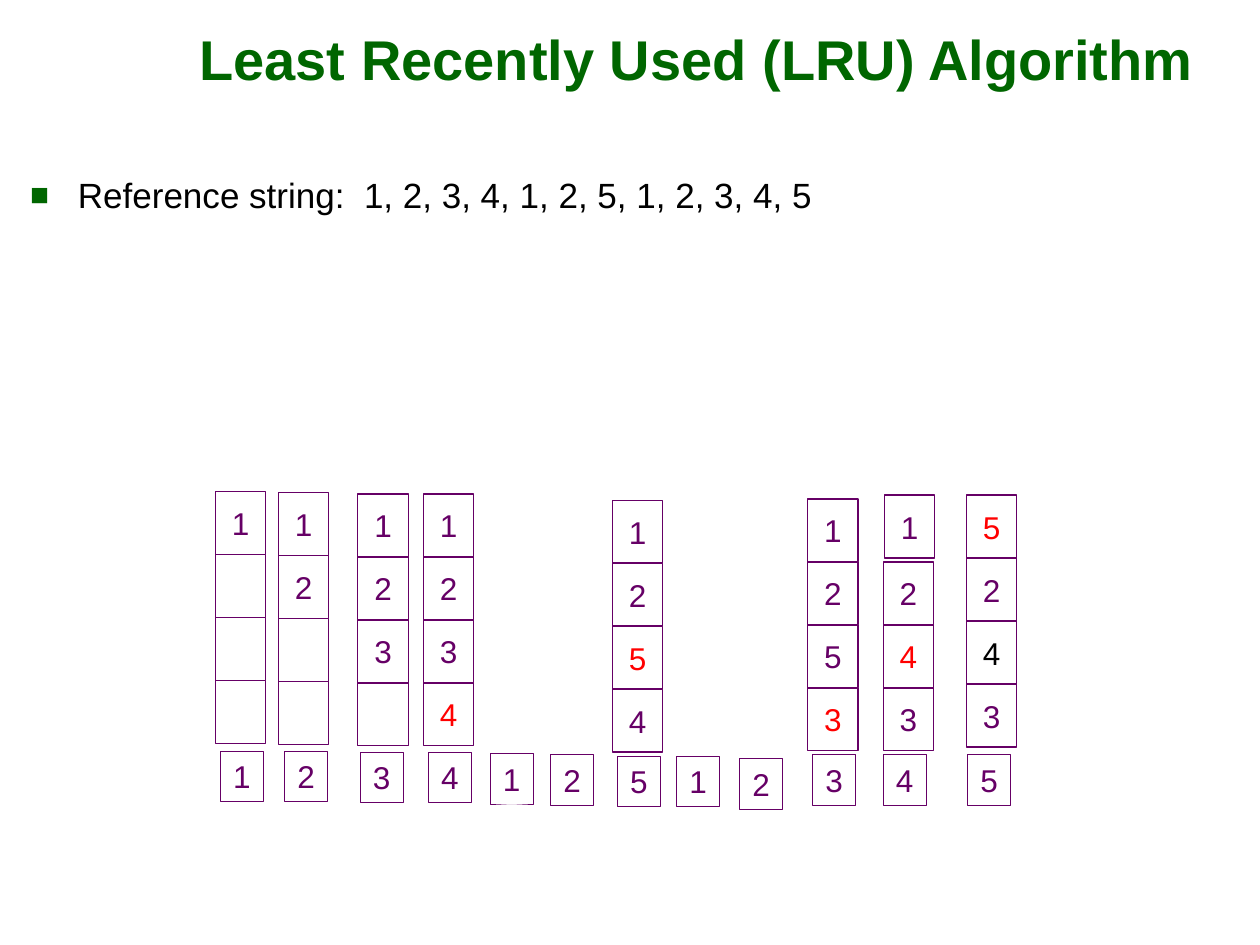
from dataclasses import dataclass, field

from lxml.etree import SubElement
from pptx import Presentation
from pptx.dml.color import RGBColor
from pptx.enum.shapes import MSO_SHAPE
from pptx.enum.text import MSO_ANCHOR, MSO_AUTO_SIZE, PP_ALIGN
from pptx.oxml.ns import qn
from pptx.util import Inches, Pt

GREEN = RGBColor(0x00, 0x66, 0x00)
PURPLE = RGBColor(0x66, 0x00, 0x66)
RED = RGBColor(0xFF, 0x00, 0x00)
BLACK = RGBColor(0x00, 0x00, 0x00)
WHITE = RGBColor(0xFF, 0xFF, 0xFF)

FONT = "Arial"
FRAME_WIDTH, FRAME_HEIGHT = 0.4, 0.5
PAGE_WIDTH, PAGE_HEIGHT = 0.34, 0.4
EMPTY = "."


@dataclass(frozen=True)
class FrameStack:
    """Memory frames from top to bottom, with the rows that stand out."""
    left: float
    top: float
    pages: str
    accents: dict[int, RGBColor] = field(default_factory=dict)


@dataclass(frozen=True)
class Reference:
    """One entry of the reference string."""
    left: float
    top: float
    page: str


STACKS = [
    FrameStack(1.71, 3.9, "1..."),
    FrameStack(2.21, 3.91, "12.."),
    FrameStack(2.84, 3.92, "123."),
    FrameStack(3.36, 3.92, "1234", {3: RED}),
    FrameStack(4.86, 3.97, "1254", {2: RED}),
    FrameStack(6.41, 3.96, "1253", {3: RED}),
    FrameStack(7.02, 3.93, "1"),
    FrameStack(7.01, 4.46, "243", {1: RED}),
    FrameStack(7.67, 3.93, "5243", {0: RED, 2: BLACK}),
]

REFERENCES = [
    Reference(1.75, 5.96, "1"),
    Reference(2.26, 5.96, "2"),
    Reference(2.86, 5.97, "3"),
    Reference(3.4, 5.97, "4"),
    Reference(3.89, 5.98, "1"),
    Reference(4.37, 5.99, "2"),
    Reference(4.9, 6, "5"),
    Reference(5.37, 6, "1"),
    Reference(5.87, 6.02, "2"),
    Reference(6.45, 5.99, "3"),
    Reference(7.01, 5.99, "4"),
    Reference(7.68, 5.99, "5"),
]


def style(paragraph, size: float, color: RGBColor, bold: bool = False) -> None:
    """Set the font of a whole paragraph."""
    font = paragraph.font
    font.name, font.size, font.bold = FONT, Pt(size), bold
    font.color.rgb = color


def place(shape, left: float, top: float, width: float, height: float) -> None:
    """Move and size a shape, in inches."""
    shape.left, shape.top = Inches(left), Inches(top)
    shape.width, shape.height = Inches(width), Inches(height)


def add_box(shapes, left: float, top: float, width: float, height: float,
            page: str, color: RGBColor, line_width: float):
    """Draw an unfilled purple box around one page number."""
    box = shapes.add_shape(MSO_SHAPE.RECTANGLE, Inches(left), Inches(top),
                           Inches(width), Inches(height))
    box.shadow.inherit = False
    box.fill.background()
    box.line.color.rgb = PURPLE
    box.line.width = Pt(line_width)
    if page != EMPTY:
        frame = box.text_frame
        frame.word_wrap = False
        frame.vertical_anchor = MSO_ANCHOR.MIDDLE
        label = frame.paragraphs[0]
        label.text = page
        label.alignment = PP_ALIGN.CENTER
        style(label, 18, color)
    return box


def add_stack(shapes, stack: FrameStack) -> None:
    """Draw one group of white memory frames."""
    group = shapes.add_group_shape()
    for row, page in enumerate(stack.pages):
        box = add_box(group.shapes, stack.left, stack.top + row * FRAME_HEIGHT,
                      FRAME_WIDTH, FRAME_HEIGHT, page,
                      stack.accents.get(row, PURPLE), 0.75)
        box.fill.solid()
        box.fill.fore_color.rgb = WHITE


def add_reference(shapes, reference: Reference) -> None:
    """Draw the requested page below its frames."""
    box = add_box(shapes, reference.left, reference.top, PAGE_WIDTH,
                  PAGE_HEIGHT, reference.page, PURPLE, 0.25)
    box.text_frame.vertical_anchor = MSO_ANCHOR.TOP
    box.text_frame.auto_size = MSO_AUTO_SIZE.SHAPE_TO_FIT_TEXT


def add_bullet(paragraph) -> None:
    """Give a paragraph a hanging green square."""
    properties = paragraph._p.get_or_add_pPr()
    indent = Inches(0.38)
    properties.set("marL", str(indent))
    properties.set("indent", str(-indent))
    color = SubElement(properties, qn("a:buClr"))
    SubElement(color, qn("a:srgbClr"), val=str(GREEN))
    SubElement(properties, qn("a:buSzPct"), val="90000")
    SubElement(properties, qn("a:buFont"), typeface=FONT)
    SubElement(properties, qn("a:buChar"), char="■")


def add_title(slide) -> None:
    """Fill and place the title."""
    title = slide.shapes.title
    place(title, 1.28, 0, 8.5, 0.92)
    frame = title.text_frame
    frame.auto_size = MSO_AUTO_SIZE.NONE
    frame.vertical_anchor = MSO_ANCHOR.MIDDLE
    heading = frame.paragraphs[0]
    heading.text = "Least Recently Used (LRU) Algorithm"
    heading.alignment = PP_ALIGN.CENTER
    style(heading, 32, GREEN, bold=True)


def add_reference_string(slide) -> None:
    """Write the bulleted reference string."""
    body = slide.shapes.add_textbox(Inches(0.14), Inches(1.33),
                                    Inches(8.84), Inches(5.2))
    body.text_frame.word_wrap = True
    sentence = body.text_frame.paragraphs[0]
    sentence.text = "Reference string:  1, 2, 3, 4, 1, 2, 5, 1, 2, 3, 4, 5"
    sentence.space_before = Pt(4)
    add_bullet(sentence)
    style(sentence, 20, BLACK)


def main() -> None:
    """Build and save the slide."""
    deck = Presentation()
    deck.slide_width, deck.slide_height = Inches(10), Inches(7.5)
    slide = deck.slides.add_slide(deck.slide_layouts.get_by_name("Title Only"))
    add_title(slide)
    add_reference_string(slide)
    for stack in STACKS:
        add_stack(slide.shapes, stack)
    for reference in REFERENCES:
        add_reference(slide.shapes, reference)
    deck.save("out.pptx")


main()
